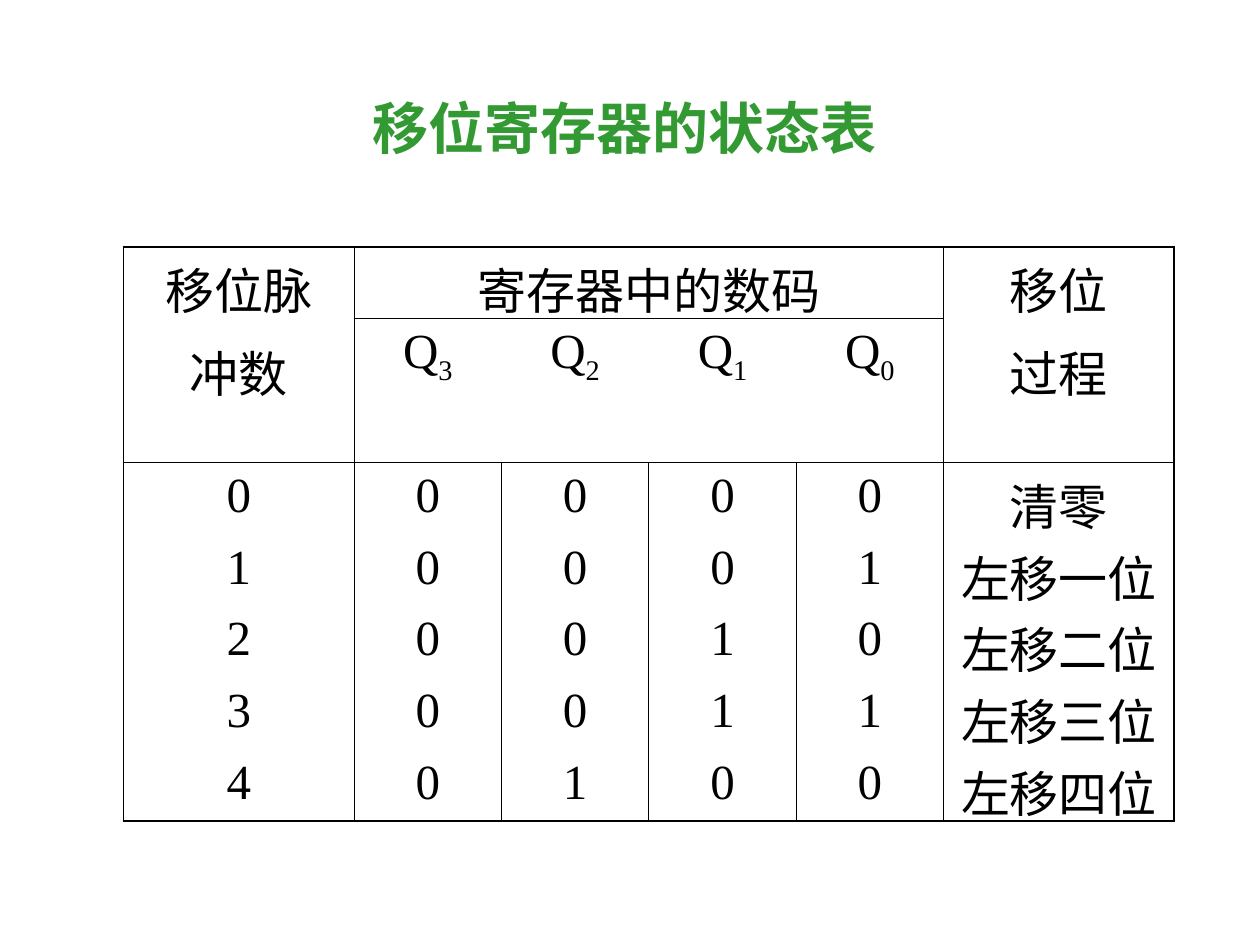
from lxml.etree import SubElement
from pptx import Presentation
from pptx.dml.color import RGBColor
from pptx.enum.text import MSO_ANCHOR, MSO_AUTO_SIZE, PP_ALIGN
from pptx.oxml.ns import qn
from pptx.util import Inches, Pt

BLACK = RGBColor(0x00, 0x00, 0x00)
GREEN = RGBColor(0x33, 0x99, 0x33)
FONT = "Times New Roman"
THICK, THIN = 1.08, 0.45

COLUMN_WIDTHS = [1.83] + [1.17] * 4 + [1.83]
ROW_HEIGHT = 0.57
ROW_UNITS = [1, 2] + [1] * 5
REGISTER_BITS = "3210"
# Pulse count, register code Q3..Q0, shift step
STATES = [
    ("0", "0000", "清零"),
    ("1", "0001", "左移一位"),
    ("2", "0010", "左移二位"),
    ("3", "0011", "左移三位"),
    ("4", "0100", "左移四位"),
]


def add_run(paragraph, text, size, color):
    run = paragraph.add_run()
    run.text = text
    run.font.name = FONT
    run.font.size = Pt(size)
    run.font.color.rgb = color
    return run


def write_cell(cell, *lines, subscript=None):
    frame = cell.text_frame
    for index, line in enumerate(lines):
        paragraph = frame.add_paragraph() if index else frame.paragraphs[0]
        paragraph.alignment = PP_ALIGN.CENTER
        if index:
            paragraph.space_before = Pt(7)
        add_run(paragraph, line, 28, BLACK)
    if subscript:
        lowered = add_run(paragraph, subscript, 28, BLACK)
        lowered.font._element.set("baseline", "-25000")


def set_borders(cell, widths):
    """Draw left, right, top and bottom edges; a zero width hides the edge."""
    properties = cell._tc.get_or_add_tcPr()
    for side, width in zip("LRTB", widths):
        edge = SubElement(properties, qn(f"a:ln{side}"), w=str(Pt(width)))
        if width:
            fill = SubElement(edge, qn("a:solidFill"))
            SubElement(fill, qn("a:srgbClr"), val=str(BLACK))
        else:
            SubElement(edge, qn("a:noFill"))


def edge_widths(row, column, last_row, last_column):
    in_bit_header = row == 1 and 1 <= column <= last_column - 1
    left = THICK if column == 0 else THIN
    right = THICK if column == last_column else THIN
    if in_bit_header:
        left = THIN if column == 1 else 0
        right = THIN if column == last_column - 1 else 0
    top = THICK if row == 0 else THIN if row == 2 or in_bit_header else 0
    bottom = THICK if row == last_row else THIN if row < 2 else 0
    if row < 2 and column in (0, last_column):
        # The tall header cells have no line between their two rows
        top, bottom = (THICK, 0) if row == 0 else (0, THIN)
    return left, right, top, bottom


def place_title(slide, left, top, width, height):
    title = slide.shapes.title
    title.left, title.top, title.width, title.height = map(
        Inches, (left, top, width, height))
    frame = title.text_frame
    frame.auto_size = MSO_AUTO_SIZE.SHAPE_TO_FIT_TEXT
    frame.vertical_anchor = MSO_ANCHOR.TOP
    frame.paragraphs[0].alignment = PP_ALIGN.CENTER
    add_run(frame.paragraphs[0], "移位寄存器的状态表", 32, GREEN).font.bold = True


def place_state_table(slide, left, top):
    width, height = sum(COLUMN_WIDTHS), ROW_HEIGHT * sum(ROW_UNITS)
    table = slide.shapes.add_table(
        len(ROW_UNITS), len(COLUMN_WIDTHS),
        *map(Inches, (left, top, width, height))).table
    table.first_row = table.horz_banding = False
    for column, column_width in zip(table.columns, COLUMN_WIDTHS):
        column.width = Inches(column_width)
    for row, units in zip(table.rows, ROW_UNITS):
        row.height = Inches(ROW_HEIGHT * units)

    # Grid lines
    last_row, last_column = len(ROW_UNITS) - 1, len(COLUMN_WIDTHS) - 1
    for row in range(last_row + 1):
        for column in range(last_column + 1):
            cell = table.cell(row, column)
            set_borders(cell, edge_widths(row, column, last_row, last_column))
            cell.fill.background()

    # Two-level header
    for column, lines in ((0, ("移位脉", "冲数")), (last_column, ("移位", "过程"))):
        table.cell(0, column).merge(table.cell(1, column))
        write_cell(table.cell(0, column), *lines)
    table.cell(0, 1).merge(table.cell(0, last_column - 1))
    write_cell(table.cell(0, 1), "寄存器中的数码")
    for column, bit in enumerate(REGISTER_BITS, start=1):
        write_cell(table.cell(1, column), "Q", subscript=bit)

    # Register states
    for row, (pulse, code, step) in enumerate(STATES, start=2):
        for column, value in enumerate((pulse, *code, step)):
            write_cell(table.cell(row, column), value)


def main():
    deck = Presentation()
    deck.slide_width, deck.slide_height = Inches(10), Inches(7.5)
    slide = deck.slides.add_slide(deck.slide_layouts[5])
    place_state_table(slide, 0.98, 1.96)
    place_title(slide, 1.17, 0.69, 7.58, 0.64)
    deck.save("out.pptx")


if __name__ == "__main__":
    main()
